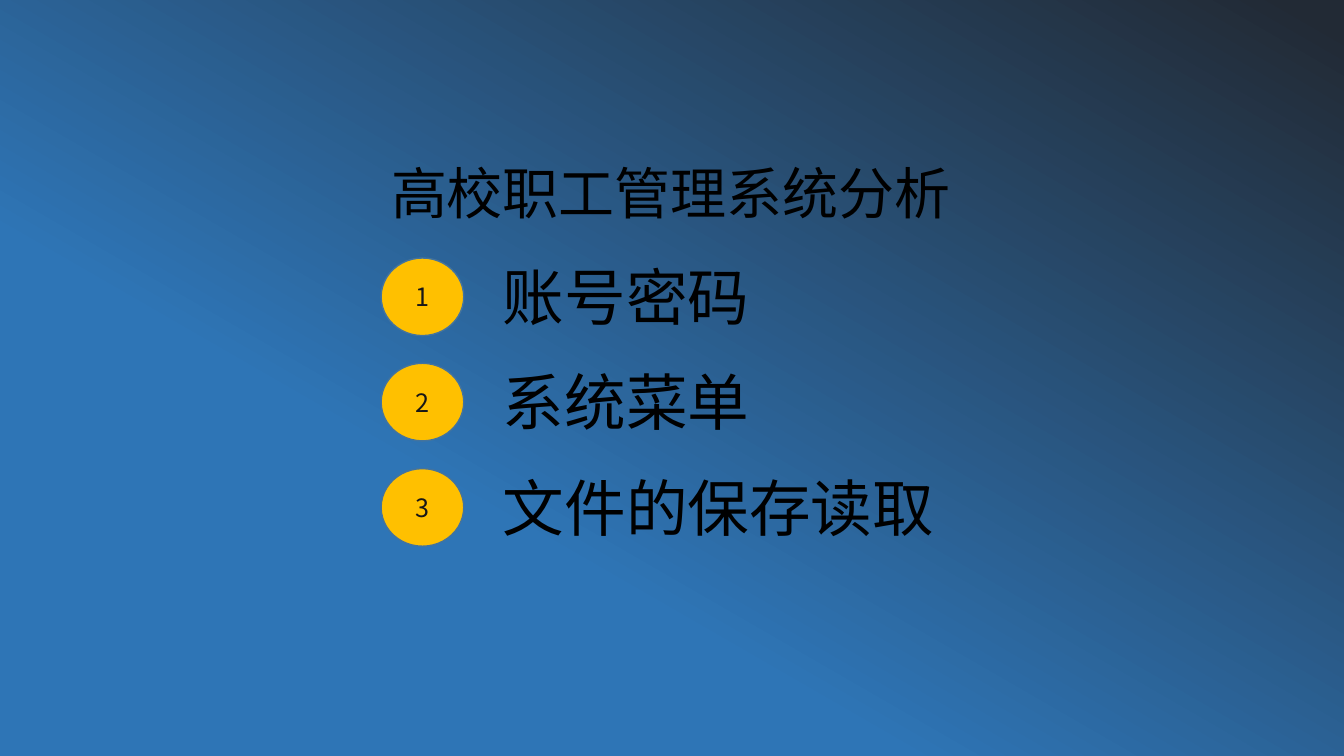
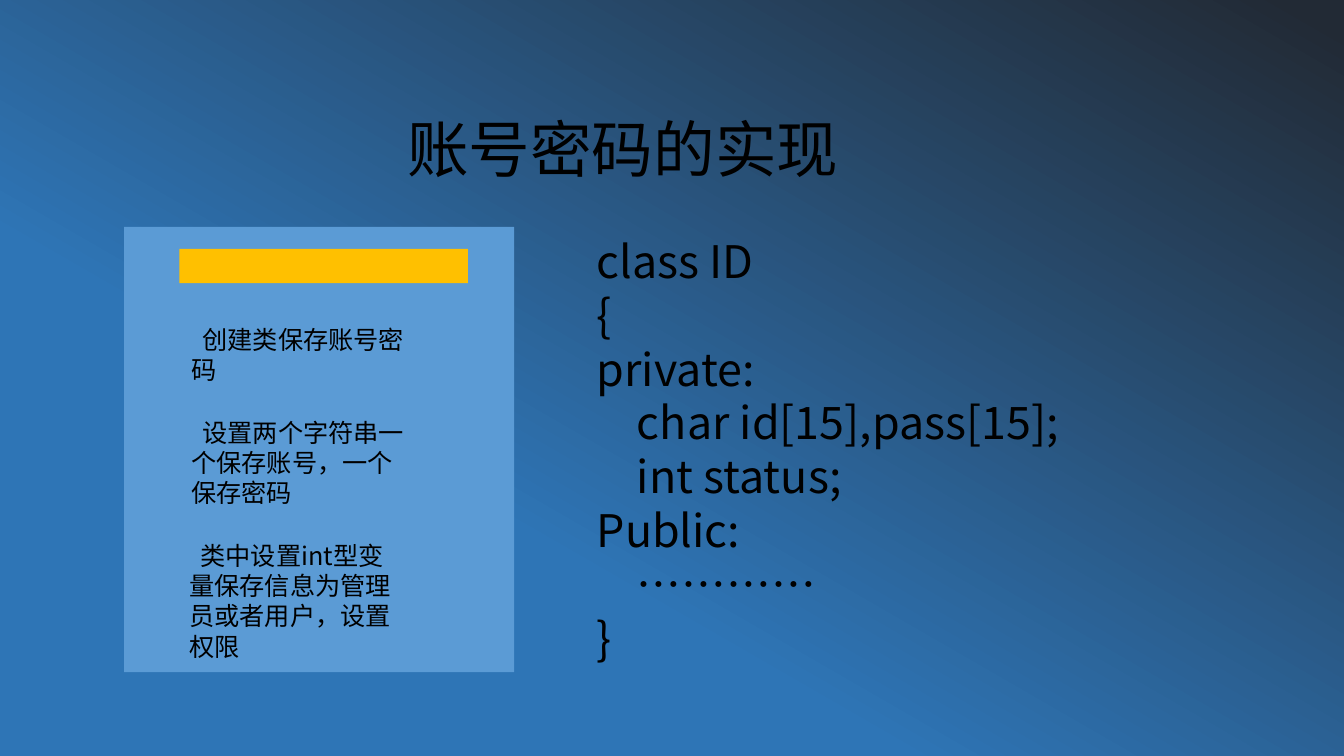
import dataclasses

import pptx
import pptx.dml.color
import pptx.enum.shapes
import pptx.enum.text
import pptx.oxml.ns
import pptx.util
from lxml import etree


@dataclasses.dataclass(frozen=True)
class Theme:
    """Colours, type sizes and measures that the slides share."""
    font: str = "Noto Sans CJK SC"
    night: str = "222A35"
    sea: str = "2E75B6"
    panel: str = "5B9BD5"
    accent: str = "FFC000"
    ring: str = "43739E"
    ink: str = "000000"
    number_ink: str = "181717"
    heading: int = 44
    contents_title: int = 40
    code: int = 32
    body: int = 18
    leading: float = 1.2


THEME = Theme()
WIDTH, HEIGHT = pptx.util.Inches(13.33), pptx.util.Inches(7.5)
PARTS = 100

TOPICS = ["账号密码", "系统菜单", "文件的保存读取"]
NOTES = [
    ("创建类保存账号密码", (13.5, 42.27, 18.45, 9.47)),
    ("设置两个字符串一个保存账号，一个保存密码", (13.5, 54.53, 17.63, 13.47)),
    ("类中设置int型变量保存信息为管理员或者用户，设置权限",
     (13.35, 70.8, 17.03, 17.47)),
]
CODE = [
    ("class ID", 0), ("{", 0), ("private:", 0),
    ("char id[15],pass[15];", 1), ("int status;", 1),
    ("Public:", 0), ("…………", 1), ("}", 0),
]
NOTE_INDENT = 0.11
CODE_INDENT = 0.4


def rgb(colour):
    """Turn a hex colour into an RGBColor."""
    return pptx.dml.color.RGBColor.from_string(colour)


def place(column, row, columns, rows):
    """Turn cells of a 100 by 100 slide grid into lengths."""
    return (round(WIDTH * column / PARTS), round(HEIGHT * row / PARTS),
            round(WIDTH * columns / PARTS), round(HEIGHT * rows / PARTS))


def write(paragraph, words, size, colour=THEME.ink, indent=0):
    """Add one styled run to a paragraph, indenting its first line."""
    paragraph.line_spacing = pptx.util.Pt(size * THEME.leading)
    if indent:
        paragraph._p.get_or_add_pPr().set(
            "indent", str(pptx.util.Inches(indent)))
    run = paragraph.add_run()
    run.text = words
    run.font.size = pptx.util.Pt(size)
    run.font.color.rgb = rgb(colour)
    run.font.name = THEME.font
    east_asian = etree.SubElement(
        run._r.get_or_add_rPr(), pptx.oxml.ns.qn("a:ea"))
    east_asian.set("typeface", THEME.font)


def add_text(shapes, cells, lines, size):
    """Add a text box from pairs of words and first-line indent."""
    frame = shapes.add_textbox(*place(*cells)).text_frame
    frame.word_wrap = True
    for position, (words, indent) in enumerate(lines):
        paragraph = frame.add_paragraph() if position else frame.paragraphs[0]
        write(paragraph, words, size, indent=indent)


def add_block(shapes, kind, cells, fill, line=None):
    """Add a flat filled shape, outlined only when a line colour is given."""
    block = shapes.add_shape(kind, *place(*cells))
    block.shadow.inherit = False
    block.fill.solid()
    block.fill.fore_color.rgb = rgb(fill)
    if line:
        block.line.color.rgb = rgb(line)
        block.line.width = pptx.util.Pt(1)
    else:
        block.line.fill.background()
    return block


def add_topic(slide, number, topic):
    """Add a numbered disc with its topic beside it."""
    row = 34.13 + (number - 1) * 13.93
    entry = slide.shapes.add_group_shape().shapes
    disc = add_block(entry, pptx.enum.shapes.MSO_SHAPE.OVAL,
                     (28.36, row, 6.15, 10.27), THEME.accent, THEME.ring)
    disc.text_frame.vertical_anchor = pptx.enum.text.MSO_ANCHOR.MIDDLE
    label = disc.text_frame.paragraphs[0]
    label.alignment = pptx.enum.text.PP_ALIGN.CENTER
    write(label, str(number), THEME.body, THEME.number_ink)
    add_text(entry, (36.68, row - 0.53, 35.78, 11.2), [(topic, 0)],
             THEME.heading)


def add_notes(slide):
    """Add the panel with its accent bar and design notes."""
    card = slide.shapes.add_group_shape().shapes
    rectangle = pptx.enum.shapes.MSO_SHAPE.RECTANGLE
    add_block(card, rectangle, (9.23, 30, 29.03, 58.93), THEME.panel)
    add_block(card, rectangle, (13.35, 32.93, 21.46, 4.53), THEME.accent)
    for note, cells in NOTES:
        add_text(card, cells, [(note, NOTE_INDENT)], THEME.body)


def paint_background(master):
    """Give every slide the diagonal gradient."""
    fill = master.background.fill
    fill.gradient()
    fill.gradient_angle = 240
    stops = [(0.02, THEME.night), (0.66, THEME.sea)]
    for stop, (position, colour) in zip(fill.gradient_stops, stops):
        stop.position = position
        stop.color.rgb = rgb(colour)


def main():
    """Build and save the presentation."""
    deck = pptx.Presentation()
    deck.slide_width, deck.slide_height = WIDTH, HEIGHT
    paint_background(deck.slide_master)
    blank = deck.slide_layouts[6]

    contents = deck.slides.add_slide(blank)
    add_text(contents.shapes, (28.36, 20.27, 46.89, 10.27),
             [("高校职工管理系统分析", 0)], THEME.contents_title)
    for number, topic in enumerate(TOPICS, 1):
        add_topic(contents, number, topic)

    account = deck.slides.add_slide(blank)
    add_text(account.shapes, (29.56, 14, 33.8, 11.2),
             [("账号密码的实现", 0)], THEME.heading)
    add_notes(account)
    add_text(account.shapes, (43.66, 30.27, 48.46, 58.8),
             [(words, level * CODE_INDENT) for words, level in CODE],
             THEME.code)
    deck.save("out.pptx")


if __name__ == "__main__":
    main()
